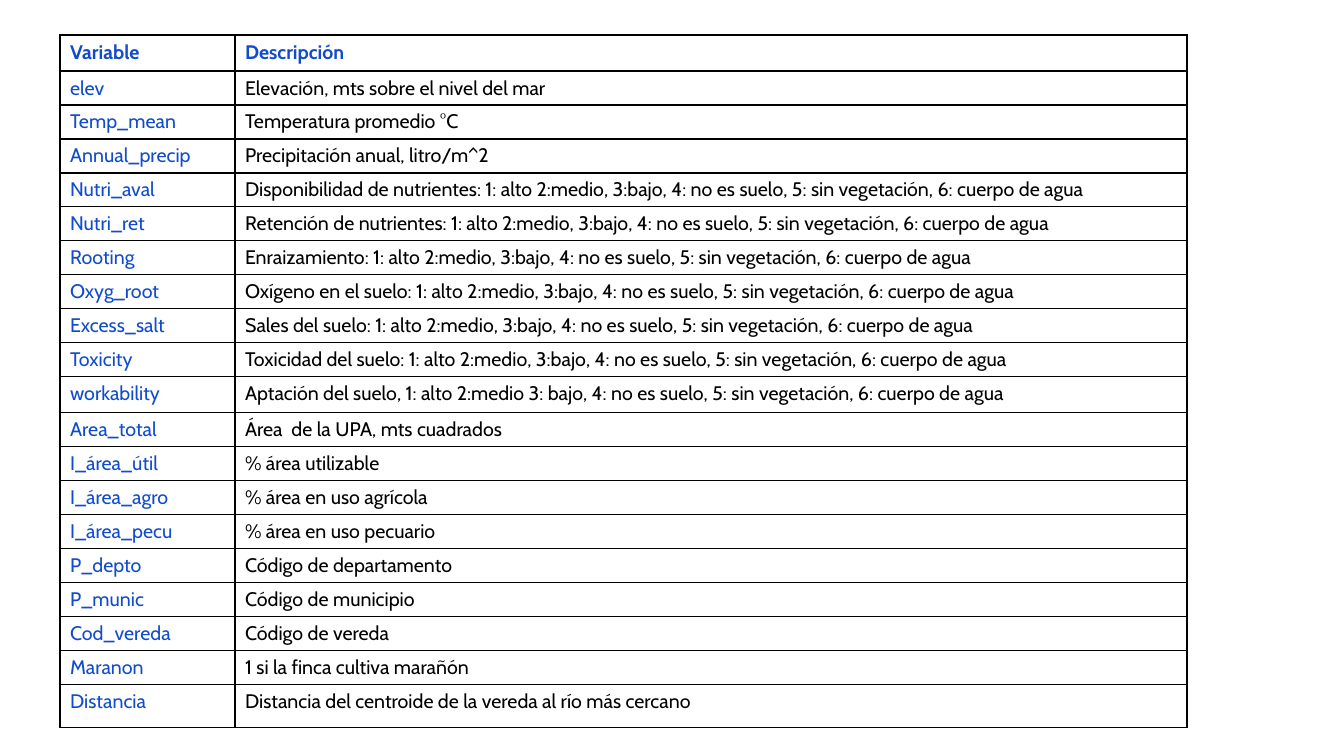
from dataclasses import dataclass

from lxml import etree
from pptx import Presentation
from pptx.dml.color import RGBColor
from pptx.oxml.ns import qn
from pptx.table import Table, _Cell
from pptx.util import Emu, Pt

SCALE = 914400 / 100.8
COLORS = {"blue": "104CCC", "black": "000000"}
FONT = "Cabin"
SIZE = 14
LEFT, TOP = 60, 35
WIDTHS = (175, 952)
ROW = 34
TALL = 36
LAST = 43
SOIL = "4: no es suelo, 5: sin vegetación, 6: cuerpo de agua"
LEVELS = f"1: alto 2:medio, 3:bajo, {SOIL}"


@dataclass
class Entry:
    name: str
    text: str
    height: int = ROW


ENTRIES = [
    Entry("Variable", "Descripción", TALL),
    Entry("elev", "Elevación, mts sobre el nivel del mar"),
    Entry("Temp_mean", "Temperatura promedio °C"),
    Entry("Annual_precip", "Precipitación anual, litro/m^2"),
    Entry("Nutri_aval", f"Disponibilidad de nutrientes: {LEVELS}"),
    Entry("Nutri_ret", f"Retención de nutrientes: {LEVELS}"),
    Entry("Rooting", f"Enraizamiento: {LEVELS}"),
    Entry("Oxyg_root", f"Oxígeno en el suelo: {LEVELS}"),
    Entry("Excess_salt", f"Sales del suelo: {LEVELS}"),
    Entry("Toxicity", f"Toxicidad del suelo: {LEVELS}"),
    Entry("workability", f"Aptación del suelo, 1: alto 2:medio 3: bajo, {SOIL}", TALL),
    Entry("Area_total", "Área  de la UPA, mts cuadrados"),
    Entry("I_área_útil", "% área utilizable"),
    Entry("I_área_agro", "% área en uso agrícola"),
    Entry("I_área_pecu", "% área en uso pecuario"),
    Entry("P_depto", "Código de departamento"),
    Entry("P_munic", "Código de municipio"),
    Entry("Cod_vereda", "Código de vereda"),
    Entry("Maranon", "1 si la finca cultiva marañón"),
    Entry("Distancia", "Distancia del centroide de la vereda al río más cercano", LAST),
]


def px(count: int) -> Emu:
    return Emu(round(count * SCALE))


def add_border(cell: _Cell) -> None:
    props = cell._tc.get_or_add_tcPr()
    for side in ("a:lnL", "a:lnR", "a:lnT", "a:lnB"):
        line = etree.SubElement(props, qn(side), w=str(Pt(1)))
        fill = etree.SubElement(line, qn("a:solidFill"))
        etree.SubElement(fill, qn("a:srgbClr"), val=COLORS["black"])


def fill_cell(cell: _Cell, text: str, color: str, bold: bool) -> None:
    add_border(cell)
    cell.fill.background()
    cell.text_frame.text = text
    font = cell.text_frame.paragraphs[0].runs[0].font
    font.name = FONT
    font.size = Pt(SIZE)
    font.bold = bold
    font.color.rgb = RGBColor.from_string(COLORS[color])


def fill_table(table: Table) -> None:
    table.first_row = False
    table.horz_banding = False
    for column, width in zip(table.columns, WIDTHS):
        column.width = px(width)
    for index, entry in enumerate(ENTRIES):
        head = index == 0
        table.rows[index].height = px(entry.height)
        fill_cell(table.cell(index, 0), entry.name, "blue", head)
        fill_cell(table.cell(index, 1), entry.text, "blue" if head else "black", head)


deck = Presentation()
deck.slide_width = px(1344)
deck.slide_height = px(756)
slide = deck.slides.add_slide(deck.slide_layouts[6])
height = sum(entry.height for entry in ENTRIES)
frame = slide.shapes.add_table(
    len(ENTRIES), len(WIDTHS), px(LEFT), px(TOP), px(sum(WIDTHS)), px(height)
)
fill_table(frame.table)
deck.save("out.pptx")
